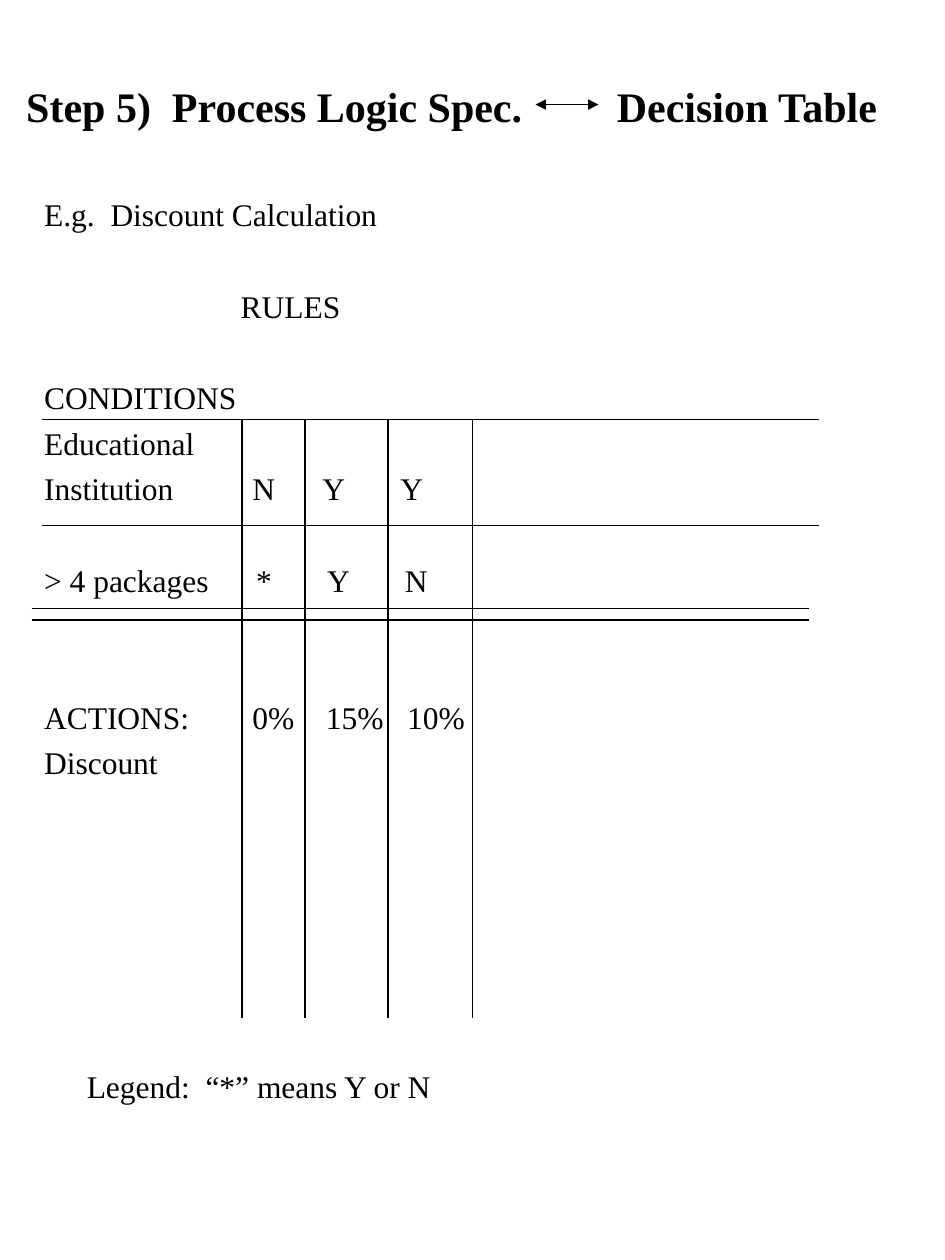
from dataclasses import dataclass

from lxml import etree
from pptx import Presentation
from pptx import util as u
from pptx.dml.color import RGBColor
from pptx.enum import shapes, text
from pptx.oxml import ns

BLACK = RGBColor(0, 0, 0)
FONT = "Times New Roman"
PARA_GAP = 4.5     # points between adjacent lines
LINE_PITCH = 26.1  # points from one line to the next


@dataclass(frozen=True)
class Row:
    """Words, with the gap after each one counted in space widths."""
    words: tuple[str, ...]
    gaps: tuple[int, ...] = ()
    indent: float = 0
    skipped_lines: int = 0


@dataclass(frozen=True)
class Rule:
    start: tuple[float, float]
    end: tuple[float, float]
    arrows: bool = False


HEADING = Row(("Step 5)  Process Logic Spec.", "Decision Table"), (9,))
LEGEND = Row(("Legend:  “*” means Y or N",))
ROWS = [
    Row(("E.g.  Discount Calculation",)),
    Row(("RULES",), indent=1.56, skipped_lines=1),
    Row(("CONDITIONS",), skipped_lines=1),
    Row(("Educational",)),
    Row(("Institution", "N", "Y", "Y"), (10, 6, 7)),
    Row(("> 4 packages", "*", "Y", "N"), (6, 7, 7), skipped_lines=1),
    Row(("ACTIONS:", "0%", "15%", "10%"), (8, 4, 3), skipped_lines=2),
    Row(("Discount",)),
]

RULES = [
    Rule((4.25, 0.83), (4.75, 0.83), arrows=True),
    *[Rule((0.33, y), (6.5, y)) for y in (3.33, 4.17)],
    *[Rule((0.25, y), (6.42, y)) for y in (4.83, 4.92)],
    *[Rule((x, 3.33), (x, 8.08)) for x in (1.92, 2.42, 3.08, 3.75)],
]


def place(box, left: float, top: float, width: float, height: float) -> None:
    box.left, box.top = u.Inches(left), u.Inches(top)
    box.width, box.height = u.Inches(width), u.Inches(height)


def write(para, row: Row, size: int, bold: bool = False) -> None:
    """Fill an unbulleted paragraph, widening single spaces into column gaps."""
    props = para._p.get_or_add_pPr()
    props.set("marL", str(int(u.Inches(row.indent))))
    props.set("indent", "0")
    etree.SubElement(props, ns.qn("a:buNone"))
    para.font.name = FONT
    para.font.size = u.Pt(size)
    para.font.bold = bold
    para.font.color.rgb = BLACK
    para.add_run().text = row.words[0]
    for gap, word in zip(row.gaps, row.words[1:]):
        space = para.add_run()
        space.text = " "
        # A space is a quarter em; spacing is in hundredths of a point
        space._r.get_or_add_rPr().set("spc", str((gap - 1) * size * 25))
        para.add_run().text = word


def draw_rule(page, rule: Rule) -> None:
    ends = [u.Inches(value) for value in (*rule.start, *rule.end)]
    line = page.shapes.add_connector(shapes.MSO_CONNECTOR.STRAIGHT, *ends)
    line.line.color.rgb = BLACK
    line.line.width = u.Pt(0.75)
    if rule.arrows:
        stroke = line.line._get_or_add_ln()
        for end in ("a:headEnd", "a:tailEnd"):
            etree.SubElement(stroke, ns.qn(end), type="triangle")
    etree.SubElement(line._element.spPr, ns.qn("a:effectLst"))


def main() -> None:
    deck = Presentation()
    deck.slide_width, deck.slide_height = u.Inches(7.5), u.Inches(10)
    page = deck.slides.add_slide(deck.slide_layouts[1])

    # Title, with a gap leaving room for the arrow
    title = page.shapes.title
    place(title, 0, 0, 7.17, 1.67)
    frame = title.text_frame
    frame.auto_size = text.MSO_AUTO_SIZE.NONE
    frame.vertical_anchor = text.MSO_ANCHOR.MIDDLE
    frame.paragraphs[0].alignment = text.PP_ALIGN.CENTER
    write(frame.paragraphs[0], HEADING, 24, bold=True)

    # Decision table text
    body = page.placeholders[1]
    place(body, 0.25, 1.5, 7, 6)
    frame = body.text_frame
    frame.auto_size = text.MSO_AUTO_SIZE.NONE
    for index, row in enumerate(ROWS):
        para = frame.add_paragraph() if index else frame.paragraphs[0]
        gap = PARA_GAP + LINE_PITCH * row.skipped_lines if index else 0
        para.space_before = u.Pt(gap)
        write(para, row, 18)

    # Title arrow and table rules
    for rule in RULES:
        draw_rule(page, rule)

    # Legend
    legend = page.shapes.add_textbox(*map(u.Inches, (0.59, 8.42, 2.95, 0.4)))
    legend.text_frame.word_wrap = False
    write(legend.text_frame.paragraphs[0], LEGEND, 18)

    deck.save("out.pptx")


if __name__ == "__main__":
    main()
